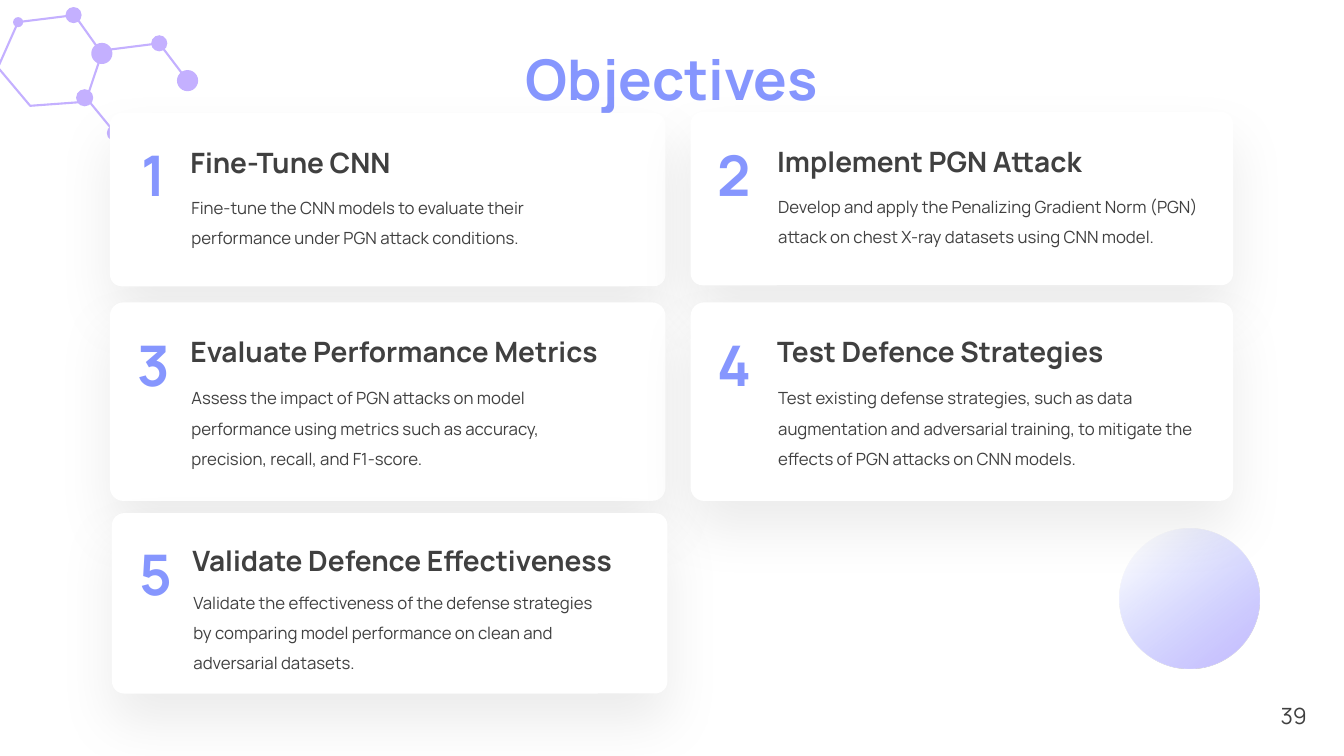
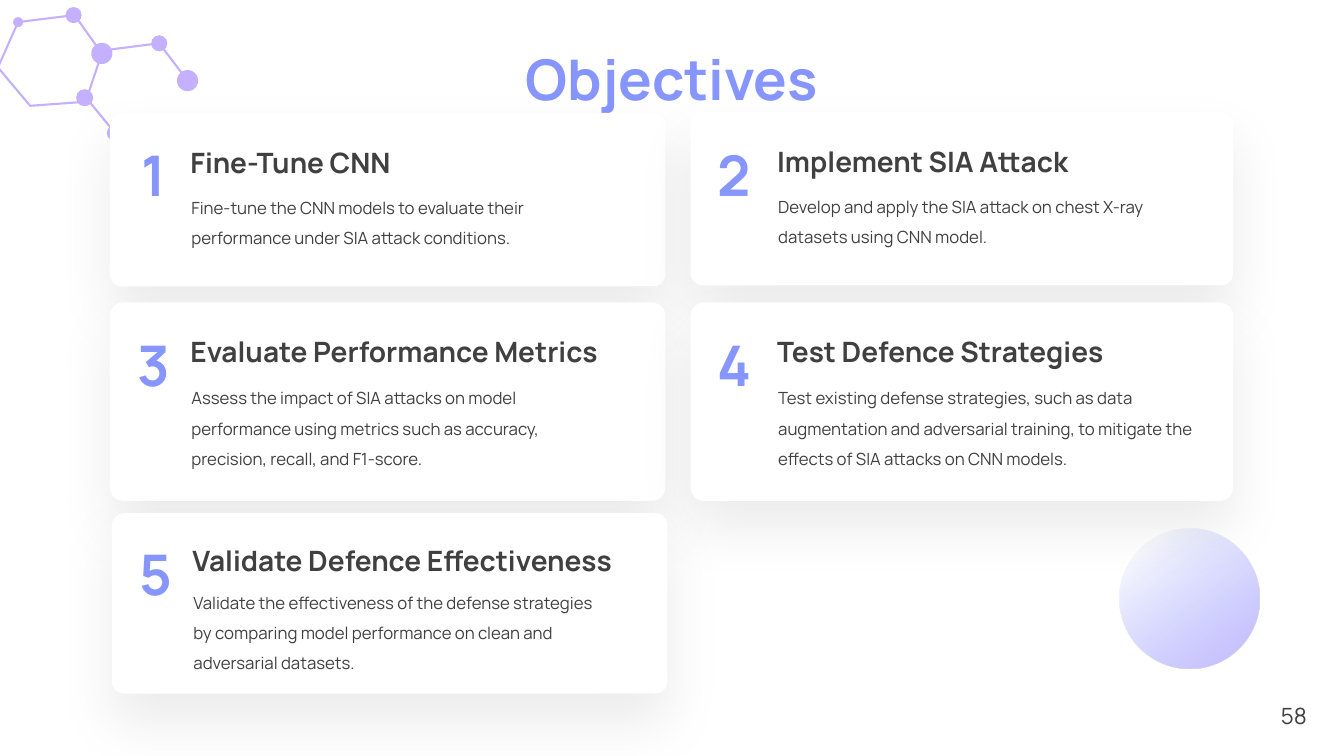
from lxml import etree
from pptx import Presentation
from pptx.dml.color import RGBColor
from pptx.enum import shapes, text
from pptx.oxml import ns
from pptx.util import Inches, Pt

BLUE = RGBColor(0x86, 0x96, 0xFE)
LILAC = RGBColor(0xC4, 0xB0, 0xFF)
INK = RGBColor(0x40, 0x40, 0x40)
WHITE = RGBColor(0xFF, 0xFF, 0xFF)
FONT = "Manrope"
LEFT, CENTER, RIGHT = text.PP_ALIGN.LEFT, text.PP_ALIGN.CENTER, text.PP_ALIGN.RIGHT

# Molecule: bond chains through points, atoms as centre x, centre y, diameter
RING = [(0.74, 0.15), (0.18, 0.22), (-0.02, 0.67), (0.3, 1.05), (0.85, 1.01), (1.01, 0.53)]
BRANCHES = [[(1.03, 0.5), (1.58, 0.43), (1.86, 0.8)], [(0.83, 0.94), (1.15, 1.33)]]
ATOMS = [(1.14, 1.32, 0.16), (1.58, 0.43, 0.16), (1.86, 0.8, 0.21), (0.84, 0.97, 0.17),
         (0.18, 0.22, 0.1), (0.73, 0.15, 0.16), (1.01, 0.53, 0.21)]

# Cards: box, then text indent, body width, and drops of number, heading and body
LEFT_TEXT, RIGHT_TEXT = (0.7, 4.25), (0.76, 4.53)
CARDS = [
    ((1.09, 1.12, 5.51, 1.72), LEFT_TEXT, (0.23, 0.27, 0.69)),
    ((6.85, 1.11, 5.38, 1.72), RIGHT_TEXT, (0.23, 0.27, 0.69)),
    ((1.09, 3, 5.51, 1.97), LEFT_TEXT, (0.23, 0.27, 0.7)),
    ((6.85, 3, 5.38, 1.97), RIGHT_TEXT, (0.23, 0.27, 0.7)),
    ((1.11, 5.09, 5.51, 1.79), LEFT_TEXT, (0.21, 0.25, 0.64)),
]


def objectives(attack, attack_task):
    """Heading and body of each card for one attack."""
    return [
        ("Fine-Tune CNN",
         f"Fine-tune the CNN models to evaluate their performance under {attack} attack conditions."),
        (f"Implement {attack} Attack", attack_task),
        ("Evaluate Performance Metrics",
         f"Assess the impact of {attack} attacks on model performance using metrics "
         "such as accuracy, precision, recall, and F1-score."),
        ("Test Defence Strategies",
         "Test existing defense strategies, such as data augmentation and adversarial "
         f"training, to mitigate the effects of {attack} attacks on CNN models."),
        ("Validate Defence Effectiveness",
         "Validate the effectiveness of the defense strategies by comparing model "
         "performance on clean and adversarial datasets."),
    ]


def add_text(parent, box, words, size, color, bold=False, align=LEFT, spacing=None):
    label = parent.add_textbox(*map(Inches, box))
    frame = label.text_frame
    frame.word_wrap = True
    frame.auto_size = text.MSO_AUTO_SIZE.SHAPE_TO_FIT_TEXT
    paragraph = frame.paragraphs[0]
    paragraph.text = words
    paragraph.alignment = align
    paragraph.line_spacing = spacing
    font = paragraph.font
    font.name, font.size, font.bold = FONT, Pt(size), bold
    font.color.rgb = color
    return frame


def add_plain_shape(parent, kind, box, color=None):
    shape = parent.add_shape(kind, *map(Inches, box))
    shape.shadow.inherit = False
    shape.line.fill.background()
    if color is not None:
        shape.fill.solid()
        shape.fill.fore_color.rgb = color
    return shape


def add_color(parent, color, alpha=None):
    node = etree.SubElement(parent, ns.qn("a:srgbClr"), val=str(color))
    if alpha is not None:
        etree.SubElement(node, ns.qn("a:alpha"), val=str(alpha * 1000))


def add_soft_shadow(shape):
    effects = shape.element.spPr.find(ns.qn("a:effectLst"))
    shadow = etree.SubElement(effects, ns.qn("a:outerShdw"), blurRad=str(Pt(40)),
                              dist=str(Pt(20)), dir=str(90 * 60000),
                              algn="t", rotWithShape="0")
    add_color(shadow, RGBColor(0, 0, 0), 7)


def add_orb(parent):
    orb = add_plain_shape(parent, shapes.MSO_SHAPE.OVAL, (11.1, 5.24, 1.39, 1.39))
    orb.rotation = 222.2
    gradient = etree.Element(ns.qn("a:gradFill"), rotWithShape="1")
    stops = etree.SubElement(gradient, ns.qn("a:gsLst"))
    for position, color, alpha in ((0, BLUE, 0), (20, BLUE, 0), (100, LILAC, None)):
        stop = etree.SubElement(stops, ns.qn("a:gs"), pos=str(position * 1000))
        add_color(stop, color, alpha)
    etree.SubElement(gradient, ns.qn("a:lin"), ang=str(190 * 60000), scaled="0")
    orb.element.spPr.find(ns.qn("a:prstGeom")).addnext(gradient)


def add_bonds(parent, points, close):
    start, *rest = [(Inches(x), Inches(y)) for x, y in points]
    builder = parent.build_freeform(*start)
    builder.add_line_segments(rest, close=close)
    bonds = builder.convert_to_shape()
    bonds.shadow.inherit = False
    bonds.fill.background()
    bonds.line.color.rgb = LILAC
    bonds.line.width = Pt(1.5)


def add_molecule(parent):
    molecule = parent.add_group_shape().shapes
    add_bonds(molecule, RING, True)
    for branch in BRANCHES:
        add_bonds(molecule, branch, False)
    for x, y, size in ATOMS:
        add_plain_shape(molecule, shapes.MSO_SHAPE.OVAL,
                        (x - size / 2, y - size / 2, size, size), LILAC)


def add_card(parent, number, layout, heading, body):
    box, (indent, body_width), (number_drop, heading_drop, body_drop) = layout
    x, y = box[:2]
    card = parent.add_group_shape().shapes
    panel = add_plain_shape(card, shapes.MSO_SHAPE.ROUNDED_RECTANGLE, box, WHITE)
    panel.adjustments[0] = 0.068
    add_soft_shadow(panel)
    add_text(card, (x + 0.1, y + number_drop, 0.67, 0.77), str(number), 40, BLUE, True, CENTER)
    add_text(card, (x + indent, y + heading_drop, 4.6, 0.44), heading, 20, INK, True)
    add_text(card, (x + indent + 0.01, y + body_drop, body_width, 0.98), body, 12, INK,
             spacing=1.5)


def add_objectives_slide(deck, page, attack, attack_task):
    parent = deck.slides.add_slide(deck.slide_layouts[6]).shapes

    # Page number and decoration
    footer = add_text(parent, (10.06, 6.9, 3, 0.4), str(page), 16, INK, align=RIGHT)
    footer.auto_size = text.MSO_AUTO_SIZE.NONE
    footer.vertical_anchor = text.MSO_ANCHOR.MIDDLE
    add_orb(parent)
    add_molecule(parent)

    # Title and numbered cards
    add_text(parent, (3.33, 0.39, 6.67, 0.77), "Objectives", 40, BLUE, True, CENTER)
    contents = zip(CARDS, objectives(attack, attack_task))
    for number, (layout, (heading, body)) in enumerate(contents, 1):
        add_card(parent, number, layout, heading, body)


def main():
    deck = Presentation()
    deck.slide_width, deck.slide_height = Inches(13.33), Inches(7.5)
    add_objectives_slide(deck, 39, "PGN",
                         "Develop and apply the Penalizing Gradient Norm (PGN) attack "
                         "on chest X-ray datasets using CNN model.")
    add_objectives_slide(deck, 58, "SIA",
                         "Develop and apply the SIA attack on chest X-ray datasets "
                         "using CNN model.")
    deck.save("out.pptx")


if __name__ == "__main__":
    main()
